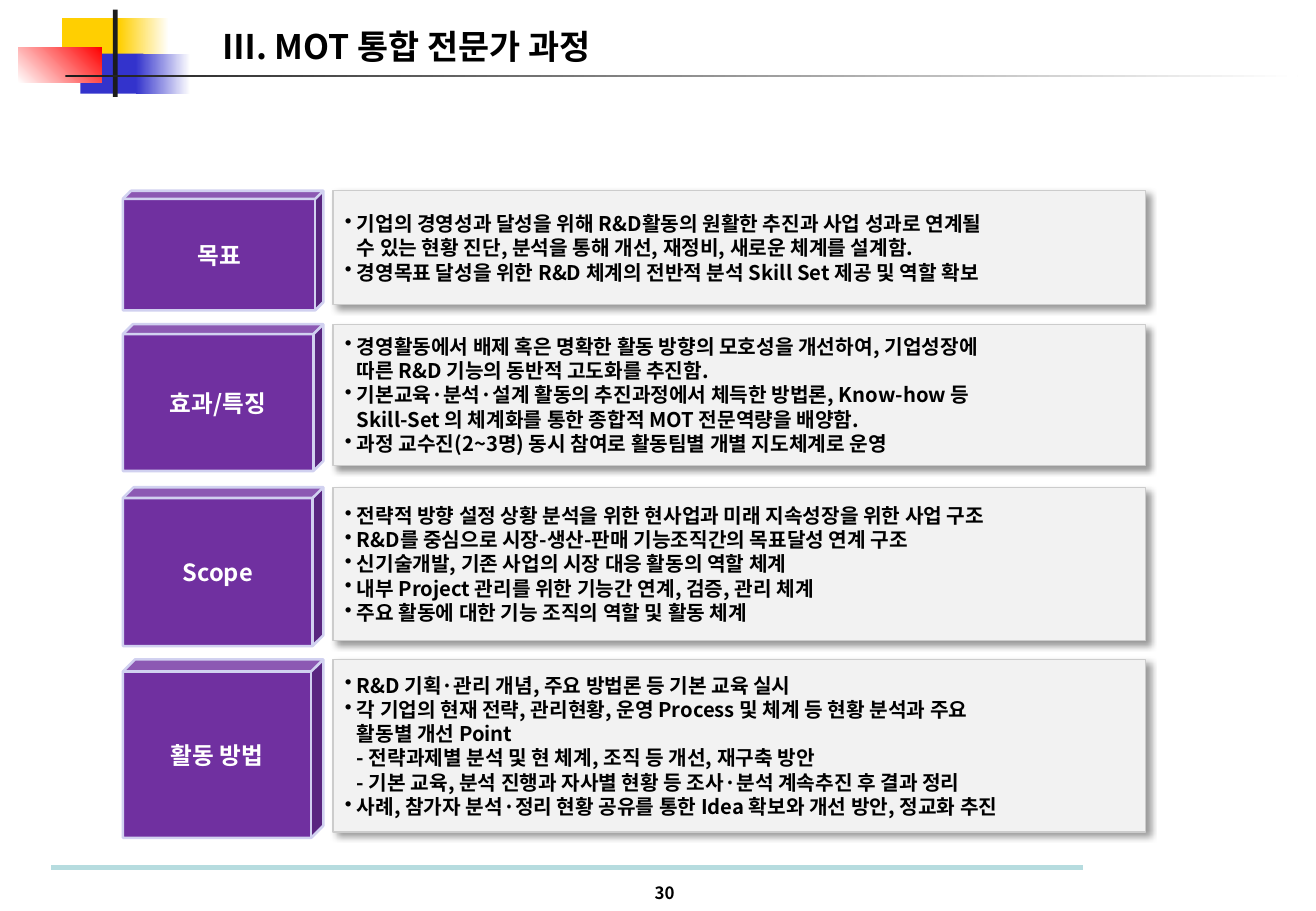
from dataclasses import dataclass

import pptx
import pptx.dml.color
import pptx.enum.shapes
import pptx.enum.text
import pptx.oxml
import pptx.oxml.ns
import pptx.util
from pptx.util import Cm

FONT = "Noto Sans CJK KR"
COLORS = {
    "yellow": "FFCF01", "blue": "3333CC", "red": "FF0000", "dark": "1C1C1C",
    "white": "FFFFFF", "black": "000000", "purple": "7030A0", "lilac": "D1D1F0",
    "panel": "F2F2F2", "edge": "CCCCCC", "teal": "B6DCDF",
}
LABEL_LEFT, LABEL_WIDTH = 2.57, 4.19
PANEL_LEFT, PANEL_WIDTH = 6.96, 16.99
LABEL_EXTRA_HEIGHT = 0.12
BULLET_INDENT = 0.25
SHAPE = pptx.enum.shapes.MSO_SHAPE
ALIGN = pptx.enum.text.PP_ALIGN


@dataclass
class Block:
    """A coloured rectangle of the header; it fades when end is given."""
    left: float
    top: float
    width: float
    height: float
    start: str
    end: str = ""
    angle: float = 0


@dataclass
class Section:
    top: float
    height: float
    label: str
    points: list[str]


BLOCKS = [
    Block(1.3, 0.38, 1.37, 0.84, "yellow"),
    Block(2.49, 0.38, 1.04, 0.84, "yellow", "white"),
    Block(1.68, 1.12, 1.32, 0.84, "blue"),
    Block(2.84, 1.12, 1.14, 0.84, "blue", "white"),
    Block(0.38, 0.99, 1.75, 0.74, "white", "red", 45),
    Block(2.36, 0.2, 0.1, 1.83, "dark"),
    Block(1.37, 1.57, 25.76, 0.05, "dark", "white"),
]
SECTIONS = [
    Section(3.99, 2.38, "목표", [
        "기업의 경영성과 달성을 위해 R&D활동의 원활한 추진과 사업 성과로 연계될\v"
        "수 있는 현황 진단, 분석을 통해 개선, 재정비, 새로운 체계를 설계함.",
        "경영목표 달성을 위한 R&D 체계의 전반적 분석 Skill Set 제공 및 역할 확보",
    ]),
    Section(6.78, 2.95, "효과/특징", [
        "경영활동에서 배제 혹은 명확한 활동 방향의 모호성을 개선하여, 기업성장에\v"
        "따른 R&D 기능의 동반적 고도화를 추진함.",
        "기본교육·분석·설계 활동의 추진과정에서 체득한 방법론, Know-how 등\v"
        "Skill-Set 의 체계화를 통한 종합적 MOT 전문역량을 배양함.",
        "과정 교수진(2~3명) 동시 참여로 활동팀별 개별 지도체계로 운영",
    ]),
    Section(10.19, 3.2, "Scope", [
        "전략적 방향 설정 상황 분석을 위한 현사업과 미래 지속성장을 위한 사업 구조",
        "R&D를 중심으로 시장-생산-판매 기능조직간의 목표달성 연계 구조",
        "신기술개발, 기존 사업의 시장 대응 활동의 역할 체계",
        "내부 Project 관리를 위한 기능간 연계, 검증, 관리 체계",
        "주요 활동에 대한 기능 조직의 역할 및 활동 체계",
    ]),
    Section(13.79, 3.61, "활동 방법", [
        "R&D 기획·관리 개념, 주요 방법론 등 기본 교육 실시",
        "각 기업의 현재 전략, 관리현황, 운영 Process 및 체계 등 현황 분석과 주요\v"
        "활동별 개선 Point\v"
        "- 전략과제별 분석 및 현 체계, 조직 등 개선, 재구축 방안\v"
        "- 기본 교육, 분석 진행과 자사별 현황 등 조사·분석 계속추진 후 결과 정리",
        "사례, 참가자 분석·정리 현황 공유를 통한 Idea 확보와 개선 방안, 정교화 추진",
    ]),
]


def rgb(name: str) -> pptx.dml.color.RGBColor:
    return pptx.dml.color.RGBColor.from_string(COLORS[name])


def add_child(parent, tag: str, **attributes: str):
    child = pptx.oxml.parse_xml(f"<{tag} {pptx.oxml.ns.nsdecls('a')}/>")
    for name, value in attributes.items():
        child.set(name, value)
    parent.append(child)
    return child


def write(shape, text: str, size: float, color: str, align) -> None:
    """Put bold text into a shape, centred vertically."""
    frame = shape.text_frame
    frame.word_wrap = True
    frame.vertical_anchor = pptx.enum.text.MSO_ANCHOR.MIDDLE
    frame.text = text
    for para in frame.paragraphs:
        para.alignment = align
        for span in para.runs:
            span.font.size = pptx.util.Pt(size)
            span.font.bold = True
            span.font.name = FONT
            span.font.color.rgb = rgb(color)
            add_child(span.font._element, "a:ea", typeface=FONT)


def add_bullets(shape) -> None:
    indent = Cm(BULLET_INDENT)
    for para in shape.text_frame.paragraphs:
        properties = para._p.get_or_add_pPr()
        properties.set("marL", str(indent))
        properties.set("indent", str(-indent))
        add_child(properties, "a:buChar", char="•")


def add_shadow(shape) -> None:
    effects = shape._element.spPr.find(pptx.oxml.ns.qn("a:effectLst"))
    shadow = add_child(effects, "a:outerShdw", blurRad=str(pptx.util.Pt(4)),
                       dist=str(pptx.util.Pt(3)), dir="2700000", algn="tl",
                       rotWithShape="0")
    color = add_child(shadow, "a:srgbClr", val=COLORS["black"])
    add_child(color, "a:alpha", val="40000")


def add_box(page, kind, left: float, top: float, width: float, height: float,
            fill: str, line: str = "", line_width: float = 0):
    box = page.shapes.add_shape(kind, Cm(left), Cm(top), Cm(width), Cm(height))
    box.shadow.inherit = False
    box.fill.solid()
    box.fill.fore_color.rgb = rgb(fill)
    if line:
        box.line.color.rgb = rgb(line)
        box.line.width = pptx.util.Pt(line_width)
    else:
        box.line.fill.background()
    return box


def add_block(page, block: Block) -> None:
    box = add_box(page, SHAPE.RECTANGLE, block.left, block.top, block.width,
                  block.height, block.start)
    if block.end:
        box.fill.gradient()
        box.fill.gradient_angle = block.angle
        for stop, color in zip(box.fill.gradient_stops, (block.start, block.end)):
            stop.color.rgb = rgb(color)


def add_section(page, section: Section) -> None:
    label = add_box(page, SHAPE.CUBE, LABEL_LEFT, section.top, LABEL_WIDTH,
                    section.height + LABEL_EXTRA_HEIGHT, "purple", "lilac", 1.5)
    label.adjustments[0] = 0.068
    write(label, section.label, 14, "white", ALIGN.CENTER)
    panel = add_box(page, SHAPE.RECTANGLE, PANEL_LEFT, section.top, PANEL_WIDTH,
                    section.height, "panel", "edge", 0.75)
    add_shadow(panel)
    write(panel, "\n".join(section.points), 12, "black", ALIGN.LEFT)
    add_bullets(panel)


def add_footer_line(page) -> None:
    line = page.shapes.add_connector(pptx.enum.shapes.MSO_CONNECTOR.STRAIGHT,
                                     Cm(1.07), Cm(18.14), Cm(22.63), Cm(18.14))
    line.line.color.rgb = rgb("teal")
    line.line.width = pptx.util.Pt(3.5)
    add_child(line._element.spPr, "a:effectLst")


def main() -> None:
    deck = pptx.Presentation()
    deck.slide_width, deck.slide_height = Cm(27.51), Cm(19.05)
    page = deck.slides.add_slide(deck.slide_layouts[6])
    for block in BLOCKS:
        add_block(page, block)
    add_footer_line(page)
    number = page.shapes.add_textbox(Cm(13.41), Cm(18.34), Cm(0.94), Cm(0.64))
    write(number, "30", 10, "black", ALIGN.RIGHT)
    title = page.shapes.add_textbox(Cm(4.4), Cm(0.41), Cm(10), Cm(1.12))
    write(title, "Ⅲ. MOT 통합 전문가 과정", 20, "black", ALIGN.LEFT)
    for section in SECTIONS:
        add_section(page, section)
    deck.save("out.pptx")


if __name__ == "__main__":
    main()
